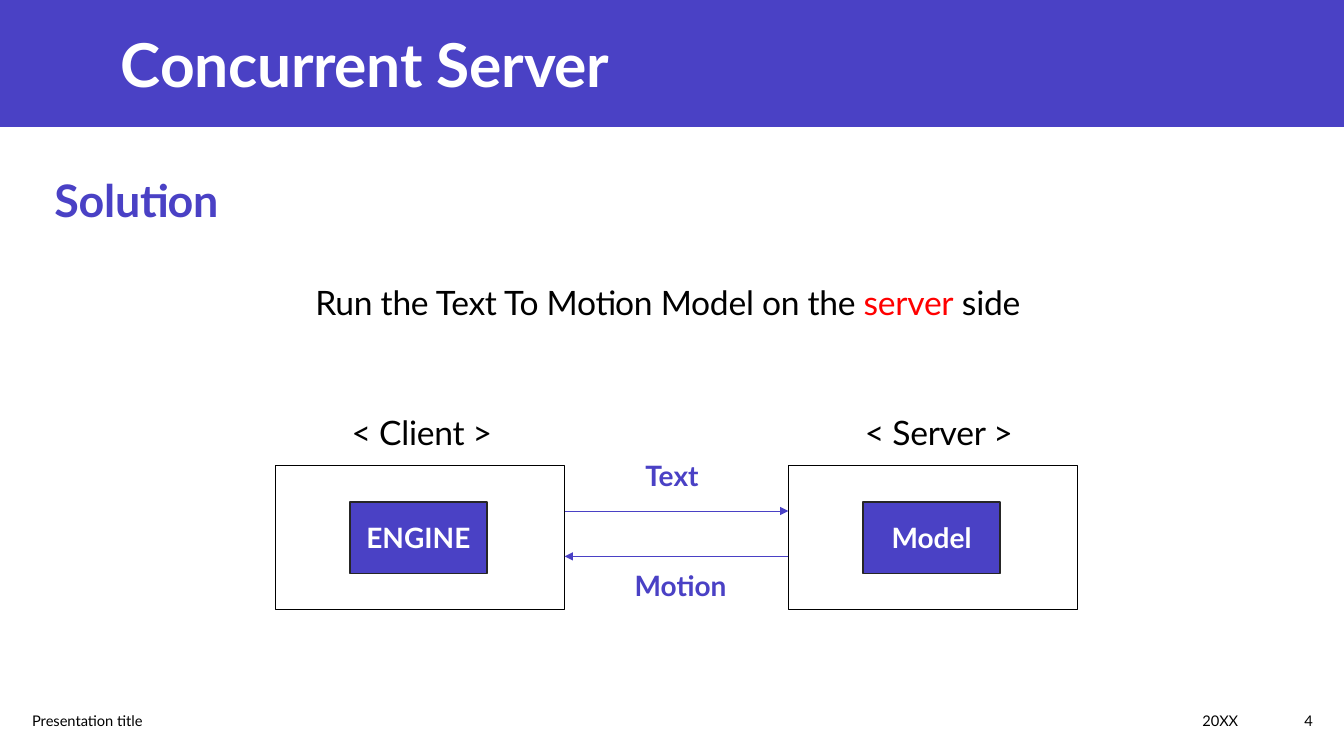
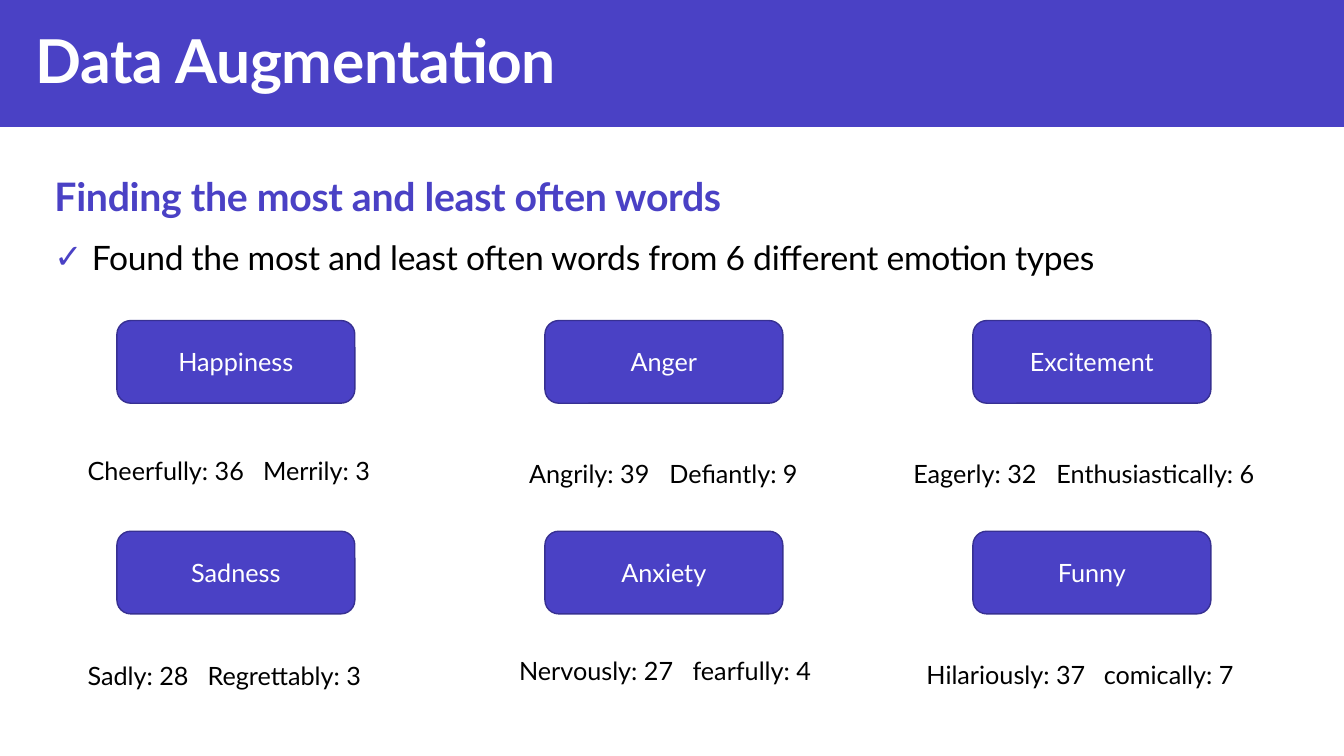
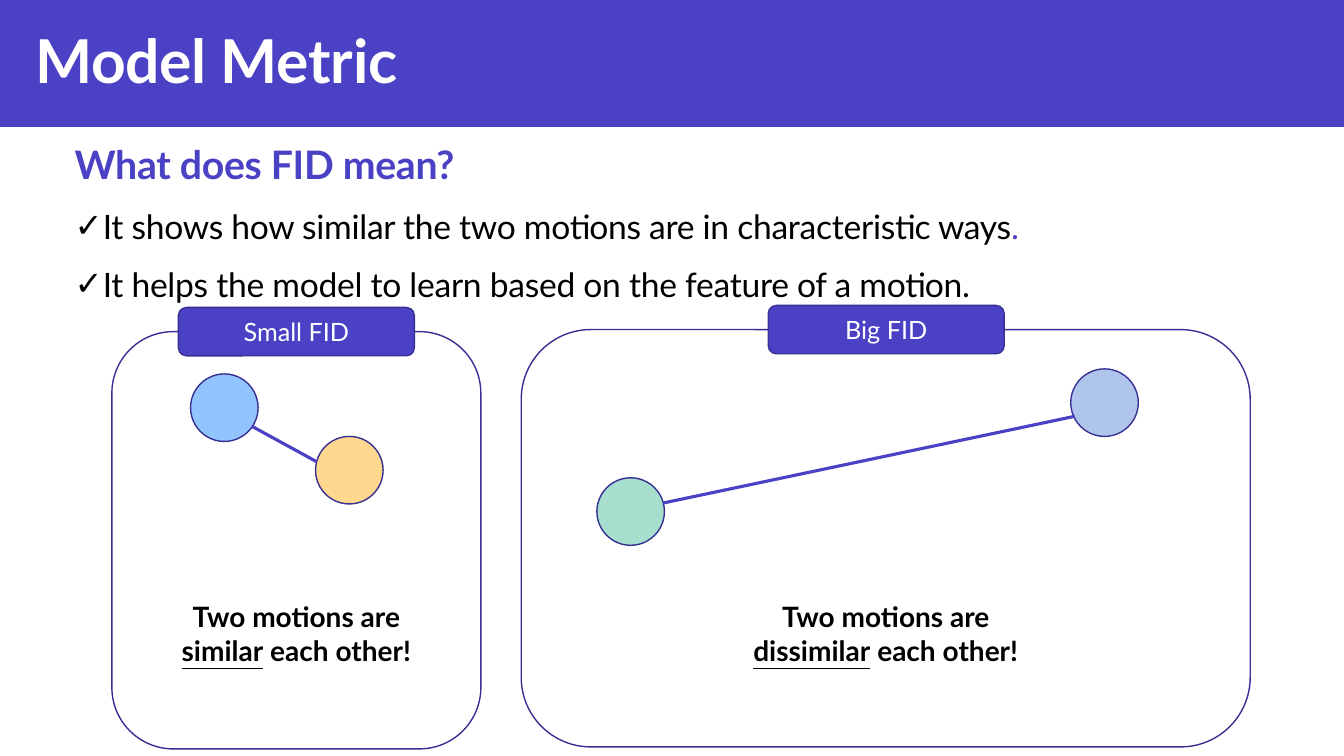
from lxml.etree import SubElement
from pptx import Presentation
from pptx.dml.color import RGBColor
from pptx.enum.shapes import MSO_CONNECTOR, MSO_SHAPE
from pptx.enum.text import MSO_ANCHOR, MSO_AUTO_SIZE, PP_ALIGN
from pptx.oxml.ns import qn
from pptx.util import Inches, Pt

# Shared look
FONT = "Lato"
PURPLE, EDGE = "4A41C5", "373092"
BLACK, WHITE, RED, CHARCOAL = "000000", "FFFFFF", "FF0000", "262626"
TIGHT = -20  # letter spacing in hundredths of a point
LEFT, CENTER, RIGHT = PP_ALIGN.LEFT, PP_ALIGN.CENTER, PP_ALIGN.RIGHT
TOP, MIDDLE = MSO_ANCHOR.TOP, MSO_ANCHOR.MIDDLE


def rgb(code):
    return RGBColor.from_string(code)


def box(*lengths):
    return [Inches(v) for v in lengths]


# Text
def add_run(p, text, size=18, color=BLACK, bold=False, underline=False, spacing=0):
    r = p.add_run()
    r.text = text
    r.font.name = FONT
    r.font.size = Pt(size)
    r.font.color.rgb = rgb(color)
    r.font.bold = bold
    if underline:
        r.font.underline = True
    if spacing:
        r._r.get_or_add_rPr().set("spc", str(spacing))


def write(p, text, align=LEFT, line=None, before=0, **fmt):
    """Fill a paragraph; text is a string or a list of (string, format changes)."""
    p.alignment = align
    p.space_before = Pt(before)
    if line:
        p.line_spacing = line
    parts = [(text, {})] if isinstance(text, str) else text
    for words, changes in parts:
        add_run(p, words, **{**fmt, **changes})


def set_bullet(p, indent=0, color=None):
    """Give a paragraph a check mark, or no bullet when indent is 0."""
    pPr = p._p.get_or_add_pPr()
    pPr.set("marL", str(Inches(indent)))
    pPr.set("indent", str(-Inches(indent)))
    if not indent:
        SubElement(pPr, qn("a:buNone"))
        return
    clr = SubElement(pPr, qn("a:buClr"))
    SubElement(clr, qn("a:srgbClr")).set("val", color)
    SubElement(pPr, qn("a:buChar")).set("char", "✓")


def set_tab(p, pos):
    tabs = SubElement(p._p.get_or_add_pPr(), qn("a:tabLst"))
    tab = SubElement(tabs, qn("a:tab"))
    tab.set("pos", str(Inches(pos)))
    tab.set("algn", "l")


def prepare(tf, anchor):
    tf.word_wrap = True
    tf.auto_size = MSO_AUTO_SIZE.NONE
    tf.vertical_anchor = anchor
    return tf.paragraphs[0]


def add_label(slide, at, text, anchor=TOP, tab=None, **fmt):
    tf = slide.shapes.add_textbox(*box(*at)).text_frame
    p = prepare(tf, anchor)
    if tab:
        set_tab(p, tab)
    write(p, text, **fmt)


# Shapes and lines
def add_block(slide, at, kind=MSO_SHAPE.RECTANGLE, fill=PURPLE, line=EDGE, text=None, **fmt):
    sp = slide.shapes.add_shape(kind, *box(*at))
    sp.shadow.inherit = False
    if fill:
        sp.fill.solid()
        sp.fill.fore_color.rgb = rgb(fill)
    else:
        sp.fill.background()
    if line:
        sp.line.color.rgb = rgb(line)
        sp.line.width = Pt(1)
    else:
        sp.line.fill.background()
    if text:
        write(prepare(sp.text_frame, MIDDLE), text, align=CENTER, color=WHITE, **fmt)
    return sp


def add_rounded(slide, at, **options):
    return add_block(slide, at, kind=MSO_SHAPE.ROUNDED_RECTANGLE, **options)


def add_line(slide, start, end, width, arrow=False):
    cx = slide.shapes.add_connector(MSO_CONNECTOR.STRAIGHT, *box(*start, *end))
    cx.line.color.rgb = rgb(PURPLE)
    cx.line.width = Pt(width)
    if arrow:
        SubElement(cx.line._get_or_add_ln(), qn("a:tailEnd")).set("type", "triangle")
    SubElement(cx._element.spPr, qn("a:effectLst"))


# Slide frame
def add_band(prs, slide):
    """Draw the title band and move it to the master, behind everything."""
    band = add_block(slide, (0, 0, 13.33, 1.26), line=None)
    prs.slide_master.shapes.element.insert(2, band._element)


def place(sp, at):
    sp.left, sp.top, sp.width, sp.height = box(*at)


def new_slide(prs, title, heading, body_at, title_at=(0.25, 0.17),
              heading_size=28, bullets=(), indent=0.25, bullet_color=BLACK):
    slide = prs.slides.add_slide(prs.slide_layouts[1])
    head, body = slide.placeholders
    place(head, (*title_at, 10.3, 0.84))
    write(prepare(head.text_frame, MIDDLE), title,
          size=43.2, color=WHITE, bold=True, spacing=TIGHT)

    place(body, body_at)
    tf = body.text_frame
    p = prepare(tf, TOP)
    set_bullet(p)
    write(p, heading, line=1.1, size=heading_size, color=PURPLE, bold=True, spacing=TIGHT)
    for item in bullets:
        p = tf.add_paragraph()
        set_bullet(p, indent, bullet_color)
        write(p, item, line=1.1, before=10, size=24, spacing=TIGHT)
    return slide


def add_footer(slide, number):
    for left, width, text, align in ((0.22, 5.29, "Presentation title", LEFT),
                                     (7.62, 4.76, "20XX", RIGHT),
                                     (12.43, 0.69, number, RIGHT)):
        add_label(slide, (left, 6.95, width, 0.4), text, anchor=MIDDLE, align=align, size=10.5)


# Slides
def server_slide(prs):
    slide = new_slide(prs, "Concurrent Server", "Solution", (0.44, 1.61, 4.03, 0.84),
                      title_at=(1.1, 0.21), heading_size=32)
    add_band(prs, slide)
    add_footer(slide, "4")
    plain = {"line": 1.1, "size": 24, "spacing": TIGHT}
    add_label(slide, (3.03, 2.71, 7.67, 0.95),
              [("Run the Text To Motion Model on the ", {}),
               ("server", {"color": RED}), (" side", {})], **plain)

    # Client and server machines
    for left, name, part in ((2.73, "< Client >", "ENGINE"), (7.82, "< Server >", "Model")):
        add_block(slide, (left, 4.62, 2.87, 1.43), fill=None, line=BLACK)
        add_block(slide, (left + 0.74, 4.98, 1.36, 0.71), line=CHARCOAL,
                  text=part, size=20, bold=True)
        add_label(slide, (left + 0.66, 4, 2.37, 0.96), name, **plain)

    # Messages between them
    for start, end, y, at, name in ((5.6, 7.82, 5.07, (6.2, 4.44, 0.93, 0.55), "Text"),
                                    (7.82, 5.6, 5.52, (5.98, 5.53, 1.54, 0.55), "Motion")):
        add_line(slide, (start, y), (end, y), 0.5, arrow=True)
        add_label(slide, at, name, anchor=MIDDLE, align=CENTER, size=20,
                  color=PURPLE, bold=True)


def augmentation_slide(prs):
    slide = new_slide(
        prs, "Data Augmentation", "Finding the most and least often words",
        (0.44, 1.61, 11.23, 2.07), indent=0.37, bullet_color=PURPLE,
        bullets=["Found the most and least often words from 6 different emotion types"])
    # Emotion, most and least frequent word, label place, tab stop
    emotions = [
        ("Happiness", "Cheerfully: 36", "Merrily: 3", (0.77, 4.47), 1.74),
        ("Anger", "Angrily: 39", "Defiantly: 9", (5.15, 4.5), 1.39),
        ("Excitement", "Eagerly: 32", "Enthusiastically: 6", (8.96, 4.5), 1.42),
        ("Sadness", "Sadly: 28", "Regrettably: 3", (0.77, 6.5), 1.19),
        ("Anxiety", "Nervously: 27", "fearfully: 4", (5.05, 6.45), 1.72),
        ("Funny", "Hilariously: 37", "comically: 7", (9.09, 6.49), 1.76),
    ]
    for i, (emotion, most, least, at, tab) in enumerate(emotions):
        row, col = divmod(i, 3)
        add_rounded(slide, (1.16 + 4.245 * col, 3.18 + 2.09 * row, 2.36, 0.82),
                    text=emotion, size=18)
        add_label(slide, (*at, 3.99, 0.4), f"{most}\t{least}", tab=tab)


def metric_slide(prs):
    slide = new_slide(
        prs, "Model Metric", "What does FID mean?", (0.64, 1.3, 11.23, 2.07),
        bullets=[[("It shows how similar the two motions are in characteristic ways", {}),
                  (".", {"color": PURPLE})],
                 "It helps the model to learn based on the feature of a motion."])
    # Panel, tag, verdict, and the two motions with their distance
    panels = [
        ((5.17, 3.27, 7.23, 4.14), "Big FID", (7.62, 3.03), "dissimilar", (7.15, 3.27),
         ((10.62, 3.66, "AFC5EB"), (5.92, 4.74, "A6DFCE")), ((6.58, 4.99), (10.66, 4.13))),
        ((1.11, 3.29, 3.66, 4.14), "Small FID", (1.77, 3.05), "similar", (1.46, 2.96),
         ((1.89, 3.71, "91C4FF"), (3.13, 4.33, "FFD88F")), ((2.5, 4.23), (3.14, 4.58))),
    ]
    for panel, tag, tag_at, verdict, (left, width), motions, distance in panels:
        add_rounded(slide, panel, fill=WHITE)
        add_rounded(slide, (*tag_at, 2.34, 0.48), text=tag, size=18)
        for x, y, color in motions:
            add_block(slide, (x, y, 0.67, 0.67), kind=MSO_SHAPE.OVAL, fill=color)
        add_line(slide, *distance, 2.25)
        add_label(slide, (left, 5.9, width, 0.77),
                  [("Two motions are ", {}), (verdict, {"underline": True}),
                   (" each other!", {})], align=CENTER, size=20, bold=True)


def main():
    prs = Presentation()
    prs.slide_width, prs.slide_height = box(13.33, 7.5)
    server_slide(prs)
    augmentation_slide(prs)
    metric_slide(prs)
    prs.save("out.pptx")


if __name__ == "__main__":
    main()
